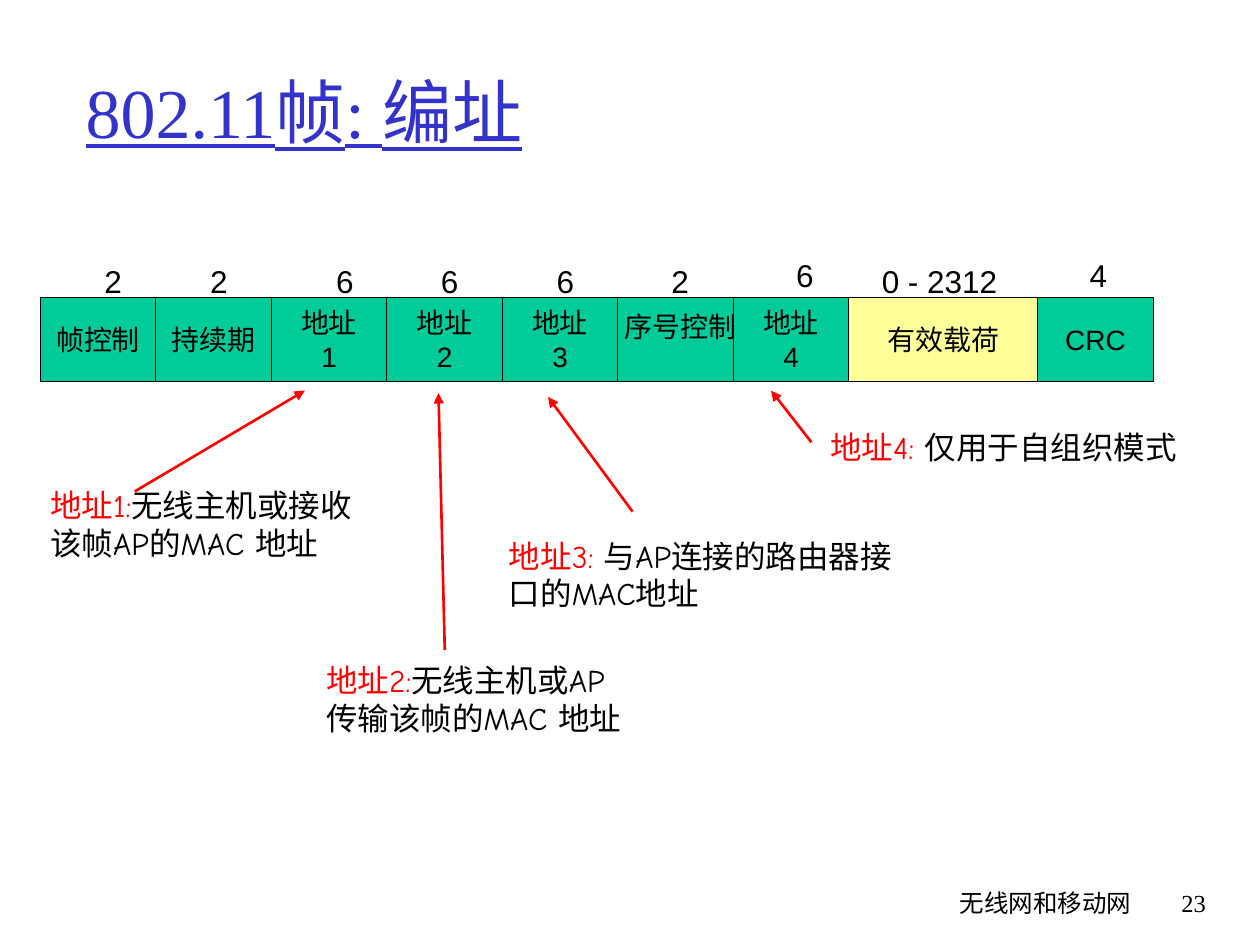
from pptx import Presentation
from pptx.dml.color import RGBColor
from pptx.enum.shapes import MSO_CONNECTOR, MSO_SHAPE
from pptx.enum.text import MSO_ANCHOR, MSO_AUTO_SIZE, PP_ALIGN
from pptx.oxml.ns import qn
from pptx.util import Inches, Pt
from lxml.etree import SubElement

BLACK = RGBColor(0x00, 0x00, 0x00)
RED = RGBColor(0xFF, 0x00, 0x00)
BLUE = RGBColor(0x33, 0x33, 0xCC)
GREEN = RGBColor(0x00, 0xCC, 0x99)
YELLOW = RGBColor(0xFF, 0xFF, 0x99)
SANS, SERIF, HAND = "Arial", "Times New Roman", "Comic Neue"

# Content
TITLE = "802.11帧: 编址"
# Frame fields: label, width, fill
SIDE, WIDE = 5.5 / 6, 1.5
FIELDS = [
    ("帧控制", SIDE, GREEN),
    ("持续期", SIDE, GREEN),
    ("地址\n1", SIDE, GREEN),
    ("地址\n2", SIDE, GREEN),
    ("地址\n3", SIDE, GREEN),
    ("", SIDE, GREEN),
    ("地址\n4", SIDE, GREEN),
    ("有效载荷", WIDE, YELLOW),
    ("CRC", SIDE, GREEN),
]
# Field lengths in bytes: text, left, top, width
BYTES = [
    ("2", 0.73, 2.03, 0.34),
    ("2", 1.57, 2.03, 0.34),
    ("6", 2.57, 2.03, 0.34),
    ("6", 3.4, 2.03, 0.34),
    ("6", 4.32, 2.03, 0.34),
    ("2", 5.23, 2.03, 0.34),
    ("6", 6.22, 1.98, 0.34),
    ("0 - 2312", 6.9, 2.03, 1.2),
    ("4", 8.55, 1.98, 0.34),
]
# Notes: red lead, black text, box, wrap, arrow start, arrow end
NOTES = [
    ("地址1:", "无线主机或接收该帧AP的MAC 地址",
     (0.3, 3.81, 2.83, 0.7), True, (1.07, 3.9), (2.42, 3.1)),
    ("地址2:", "无线主机或AP\n传输该帧的MAC 地址",
     (2.49, 5.2, 2.67, 0.7), False, (3.53, 5.16), (3.48, 3.12)),
    ("地址3: ", "与AP连接的路由器接口的MAC地址",
     (3.94, 4.21, 3.34, 0.7), True, (5.02, 4.06), (4.35, 3.15)),
    ("地址4: ", "仅用于自组织模式",
     (6.49, 3.35, 3.25, 0.4), True, (6.44, 3.51), (6.12, 3.1)),
]
# Footer: text, box, font
FOOT = [
    ("无线网和移动网", (4.86, 7, 4.22, 0.5), HAND),
    ("23", (8.93, 7, 0.74, 0.5), SERIF),
]


def write(shape, text, lead="", size=18, font=SANS, color=BLACK, line=None,
          align=PP_ALIGN.LEFT, anchor=MSO_ANCHOR.TOP, wrap=True,
          fit=MSO_AUTO_SIZE.NONE):
    """Fill a shape with text, one paragraph a line, after a red lead."""
    frame = shape.text_frame
    frame.word_wrap = wrap
    frame.auto_size = fit
    frame.vertical_anchor = anchor
    for i, row in enumerate(text.split("\n")):
        para = frame.add_paragraph() if i else frame.paragraphs[0]
        para.alignment = align
        parts = [(row, color)]
        if lead and i == 0:
            parts.insert(0, (lead, RED))
        for words, tint in parts:
            run = para.add_run()
            run.text = words
            run.font.size = Pt(size)
            run.font.name = font
            run.font.color.rgb = tint
            run.font.underline = line


def place(box):
    return [Inches(n) for n in box]


def label(slide, box, text, **form):
    write(slide.shapes.add_textbox(*place(box)), text, **form)


def arrow(slide, start, end):
    link = slide.shapes.add_connector(MSO_CONNECTOR.STRAIGHT,
                                      *place(start + end))
    link.line.color.rgb = RED
    link.line.width = Pt(1.5)
    SubElement(link.line._get_or_add_ln(), qn("a:tailEnd"), type="triangle")
    SubElement(link._element.spPr, qn("a:effectLst"))


def main():
    deck = Presentation()
    deck.slide_width, deck.slide_height = Inches(10), Inches(7.5)
    slide = deck.slides.add_slide(deck.slide_layouts[5])

    # Title
    title = slide.shapes.title
    title.left, title.top, title.width, title.height = place(
        (0.58, 0.25, 8.5, 1.25))
    write(title, TITLE, size=40, font=SERIF, color=BLUE, line=True,
          anchor=MSO_ANCHOR.MIDDLE)

    # Frame fields, side by side
    left = 0.32
    for text, width, fill in FIELDS:
        cell = slide.shapes.add_shape(MSO_SHAPE.RECTANGLE,
                                      *place((left, 2.36, width, 0.67)))
        cell.shadow.inherit = False
        cell.fill.solid()
        cell.fill.fore_color.rgb = fill
        cell.line.color.rgb = BLACK
        cell.line.width = Pt(0.75)
        if text:
            write(cell, text, size=16, align=PP_ALIGN.CENTER,
                  anchor=MSO_ANCHOR.MIDDLE, wrap=False)
        left += width
    label(slide, (4.8, 2.41, 1.2, 0.37), "序号控制", size=16,
          align=PP_ALIGN.CENTER)

    # Byte counts
    for text, x, y, width in BYTES:
        label(slide, (x, y, width, 0.4), text)

    # Address notes and their arrows
    for lead, text, box, wrap, start, end in NOTES:
        label(slide, box, text, lead=lead, font=HAND, wrap=wrap,
              fit=MSO_AUTO_SIZE.SHAPE_TO_FIT_TEXT)
        arrow(slide, start, end)

    # Footer
    for text, box, font in FOOT:
        label(slide, box, text, size=14, font=font, align=PP_ALIGN.RIGHT)

    deck.save("out.pptx")


if __name__ == "__main__":
    main()
